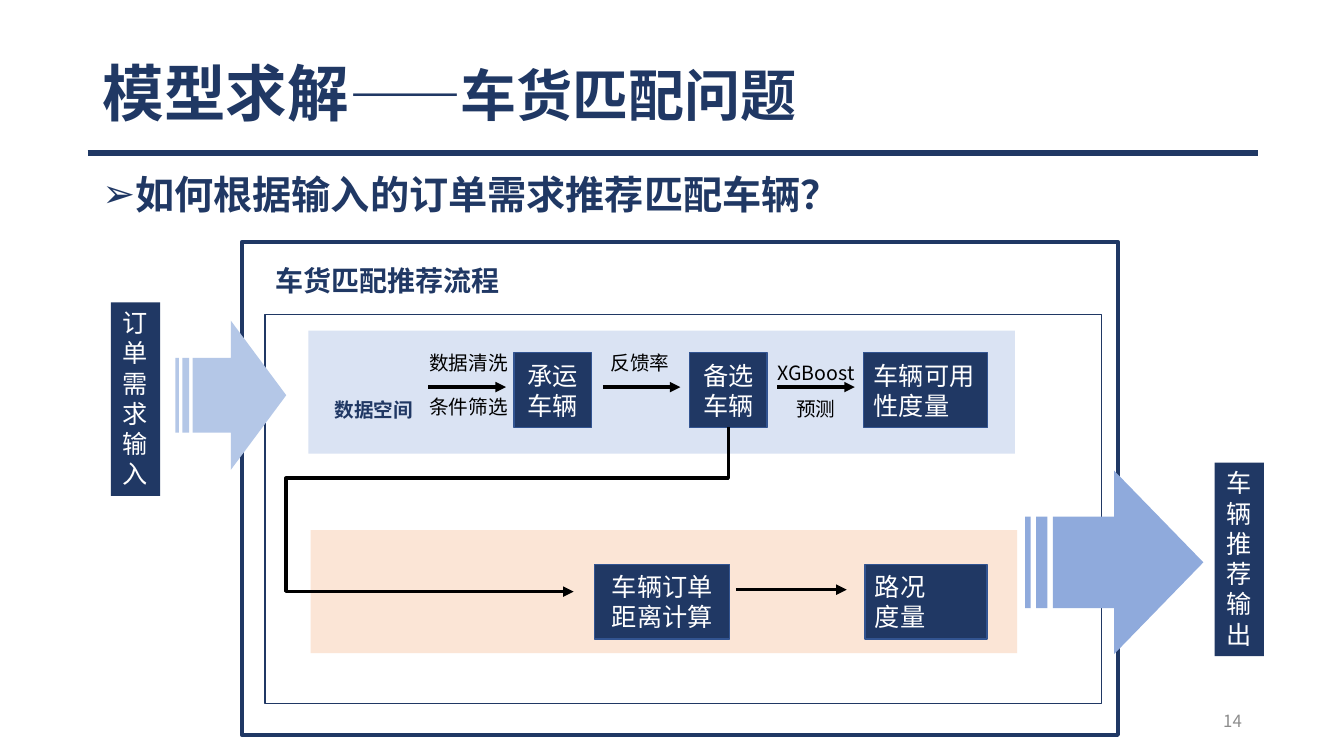
import pptx
import pptx.util
import pptx.dml.color
import pptx.enum.shapes
import pptx.enum.text
import pptx.oxml
import pptx.oxml.ns
import lxml.etree

Pt = pptx.util.Pt
RGBColor = pptx.dml.color.RGBColor
SHAPE = pptx.enum.shapes.MSO_SHAPE
CONNECTOR = pptx.enum.shapes.MSO_CONNECTOR
ANCHOR = pptx.enum.text.MSO_ANCHOR
ALIGN = pptx.enum.text.PP_ALIGN
qn = pptx.oxml.ns.qn

FONT = "Noto Sans CJK SC"
NAVY = RGBColor(0x20, 0x38, 0x64)
EDGE = RGBColor(0x32, 0x54, 0x91)
PALE_BLUE = RGBColor(0xDA, 0xE3, 0xF3)
PEACH = RGBColor(0xFB, 0xE5, 0xD6)
LIGHT_BLUE = RGBColor(0xB4, 0xC7, 0xE7)
MID_BLUE = RGBColor(0x8F, 0xAA, 0xDC)
GRAY = RGBColor(0x8C, 0x8C, 0x8C)
BLACK = RGBColor(0, 0, 0)
WHITE = RGBColor(255, 255, 255)


def write(s, text, size, color, bold=False, align=ALIGN.LEFT, anchor=ANCHOR.TOP):
    tf = s.text_frame
    tf.text = text
    tf.word_wrap = True
    tf.auto_size = pptx.enum.text.MSO_AUTO_SIZE.NONE
    tf.vertical_anchor = anchor
    for p in tf.paragraphs:
        p.alignment = align
        for r in p.runs:
            r.font.name = FONT
            r.font.size = Pt(size)
            r.font.bold = bold
            r.font.color.rgb = color
            ea = lxml.etree.SubElement(r._r.get_or_add_rPr(), qn("a:ea"))
            ea.set("typeface", FONT)
    return tf


def draw(kind, x, y, w, h, fill=None, line=None, width=1):
    s = slide.shapes.add_shape(kind, Pt(x), Pt(y), Pt(w), Pt(h))
    s.shadow.inherit = False
    if fill is None:
        s.fill.background()
    else:
        s.fill.solid()
        s.fill.fore_color.rgb = fill
    if line is None:
        s.line.fill.background()
    else:
        s.line.color.rgb = line
        s.line.width = Pt(width)
    return s


prs = pptx.Presentation()
prs.slide_width = Pt(960)
prs.slide_height = Pt(540)
slide = prs.slides.add_slide(prs.slide_layouts[1])

title, body = slide.placeholders
for s, y, h in [(title, 28.8, 80.6), (body, 121.7, 364.3)]:
    s.left, s.top, s.width, s.height = Pt(66), Pt(y), Pt(828), Pt(h)

tf = write(title, "模型求解\v——车货匹配问题".replace("\v", ""), 40, NAVY, True, anchor=ANCHOR.MIDDLE)
p = tf.paragraphs[0]
p.line_spacing = 0.9
p.runs[0].text = "模型求解"
r = p.add_run()
r.text = "——车货匹配问题"
r.font.name = FONT
r.font.size = Pt(40)
r.font.bold = True
r.font.color.rgb = NAVY
lxml.etree.SubElement(r._r.get_or_add_rPr(), qn("a:ea")).set("typeface", FONT)
p.runs[0].font.size = Pt(44)

p = write(body, "如何根据输入的订单需求推荐匹配车辆？", 28, NAVY, True).paragraphs[0]
p.line_spacing = 0.9
p.space_before = Pt(0)
pPr = p._p.get_or_add_pPr()
pPr.set("marL", str(Pt(18)))
pPr.set("indent", str(-Pt(18)))
lxml.etree.SubElement(pPr, qn("a:buChar")).set("char", "➢")

draw(SHAPE.RECTANGLE, 220.3, 236.2, 504.7, 87.8, PALE_BLUE)
draw(SHAPE.RECTANGLE, 189.4, 224.6, 597.6, 277.9, line=NAVY)
draw(SHAPE.RECTANGLE, 221.8, 378.7, 504.7, 87.8, PEACH)
draw(SHAPE.RECTANGLE, 172.8, 172.8, 625.7, 352.1, line=NAVY, width=3)

steps = [
    ("承运车辆", 367.2, 252, 55.4, ALIGN.CENTER),
    ("备选车辆", 492.5, 252, 55.4, ALIGN.CENTER),
    ("车辆可用性度量", 617, 252, 88.6, ALIGN.LEFT),
    ("车辆订单距离计算", 424.8, 403.2, 96.5, ALIGN.CENTER),
    ("路况\n度量", 617.8, 403.2, 87.1, ALIGN.LEFT),
]
for text, x, y, w, align in steps:
    s = draw(SHAPE.RECTANGLE, x, y, w, 53.3, NAVY, EDGE)
    write(s, text, 18, WHITE, align=align, anchor=ANCHOR.MIDDLE)

for text, x, y in [("订单需求输入", 79.2, 216), ("车辆推荐输出", 867.6, 330.5)]:
    s = draw(SHAPE.RECTANGLE, x, y, 35.3, 138.2, NAVY)
    write(s, text, 18, WHITE, align=ALIGN.CENTER)

draw(SHAPE.STRIPED_RIGHT_ARROW, 125.3, 229, 79.2, 106.6, LIGHT_BLUE)
draw(SHAPE.STRIPED_RIGHT_ARROW, 732.2, 336.2, 127.4, 131, MID_BLUE)

labels = [
    ("数据空间", 229, 280.8, 76.3, 24.5, 14, NAVY, True, ALIGN.CENTER, ANCHOR.TOP),
    ("数据清洗", 299.5, 247, 100, 24.5, 14, BLACK, False, ALIGN.LEFT, ANCHOR.TOP),
    ("条件筛选", 299.5, 278.6, 100, 24.5, 14, BLACK, False, ALIGN.LEFT, ANCHOR.TOP),
    ("反馈率", 429.1, 247, 100, 24.5, 14, BLACK, False, ALIGN.LEFT, ANCHOR.TOP),
    ("车货匹配推荐流程", 189.4, 185, 327.6, 31.7, 20, NAVY, True, ALIGN.LEFT, ANCHOR.TOP),
    ("14", 678.2, 500.4, 216, 28.8, 12, GRAY, False, ALIGN.RIGHT, ANCHOR.MIDDLE),
]
for text, x, y, w, h, size, color, bold, align, anchor in labels:
    s = slide.shapes.add_textbox(Pt(x), Pt(y), Pt(w), Pt(h))
    write(s, text, size, color, bold, align, anchor)

s = slide.shapes.add_textbox(Pt(542.9), Pt(246.2), Pt(79.9), Pt(55.4))
tf = write(s, "XGBoost预测", 14, BLACK, align=ALIGN.CENTER)
tf.paragraphs[0].line_spacing = 1.5

connectors = [
    (CONNECTOR.STRAIGHT, 62.6, 109.4, 898.6, 109.4, NAVY, 4, False),
    (CONNECTOR.STRAIGHT, 306, 276.5, 361.4, 276.5, BLACK, 2.5, True),
    (CONNECTOR.STRAIGHT, 430.6, 276.5, 486, 276.5, BLACK, 2.5, True),
    (CONNECTOR.STRAIGHT, 555.1, 276.5, 610.6, 276.5, BLACK, 2.5, True),
    (CONNECTOR.STRAIGHT, 221.8, 422.6, 409.7, 422.6, BLACK, 2.5, True),
    (CONNECTOR.STRAIGHT, 525.6, 421.2, 604.8, 421.2, BLACK, 2.5, True),
    (CONNECTOR.ELBOW, 312.5, 214.6, 429.9, 512.7, BLACK, 2.5, False),
]
for kind, x1, y1, x2, y2, color, width, arrow in connectors:
    s = slide.shapes.add_connector(kind, Pt(x1), Pt(y1), Pt(x2), Pt(y2))
    s.line.color.rgb = color
    s.line.width = Pt(width)
    spPr = s._element.spPr
    lxml.etree.SubElement(spPr, qn("a:effectLst"))
    if arrow:
        lxml.etree.SubElement(spPr.find(qn("a:ln")), qn("a:tailEnd")).set("type", "triangle")
    if kind == CONNECTOR.ELBOW:
        spPr.find(qn("a:xfrm")).set("rot", "5400000")
        geom = spPr.find(qn("a:prstGeom"))
        geom.set("prst", "bentConnector4")
        for name, value in [("adj1", 31200), ("adj2", 106000)]:
            gd = lxml.etree.SubElement(geom.find(qn("a:avLst")), qn("a:gd"))
            gd.set("name", name)
            gd.set("fmla", f"val {value}")

prs.save("out.pptx")
